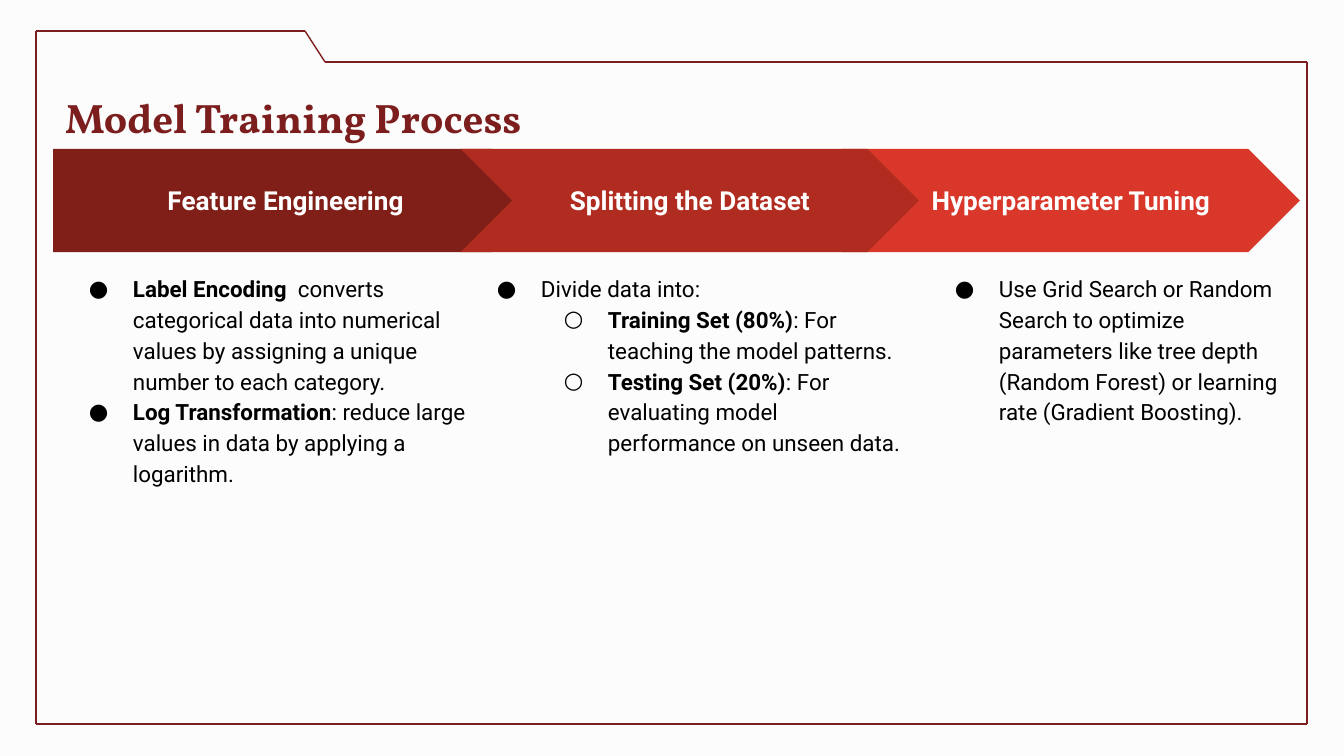
from dataclasses import dataclass
from lxml import etree
from pptx import Presentation
from pptx.dml.color import RGBColor
from pptx.enum import shapes, text
from pptx.oxml import ns
from pptx.util import Emu, Pt


@dataclass
class Theme:
    back: str = "FCFCFC"
    frame: str = "7C1E1E"
    dark: str = "801F17"
    mid: str = "B02B20"
    light: str = "D83729"
    white: str = "FFFFFF"
    black: str = "000000"
    serif: str = "Vollkorn"
    sans: str = "Roboto"
    title: int = 22
    head: int = 14
    body: int = 12


def px(n):
    return Emu(round(n * 914400 / 134.4))


def style(run, name, size, color, bold):
    font = run.font
    font.name, font.size, font.bold = name, Pt(size), bold
    font.color.rgb = RGBColor.from_string(color)


theme = Theme()
deck = Presentation()
deck.slide_width, deck.slide_height = px(1344), px(756)
slide = deck.slides.add_slide(deck.slide_layouts[5])
slide.background.fill.solid()
slide.background.fill.fore_color.rgb = RGBColor.from_string(theme.back)

points = [(36, 31), (305, 31), (325, 62), (1307, 62), (1307, 724), (36, 724)]
for start, end in zip(points, points[1:] + points[:1]):
    edge = slide.shapes.add_connector(
        shapes.MSO_CONNECTOR.STRAIGHT, *map(px, start + end))
    edge.line.color.rgb = RGBColor.from_string(theme.frame)
    edge.line.width = Pt(0.75)
    etree.SubElement(edge._element.spPr, ns.qn("a:effectLst"))

title = slide.shapes.title
title.left, title.top, title.width, title.height = map(px, (52, 79, 1133, 70))
frame = title.text_frame
frame.text = "Model Training Process"
frame.auto_size = text.MSO_AUTO_SIZE.NONE
frame.vertical_anchor = text.MSO_ANCHOR.TOP
frame.margin_left = frame.margin_right = px(13)
frame.margin_top = frame.margin_bottom = px(13)
frame.paragraphs[0].alignment = text.PP_ALIGN.LEFT
style(frame.paragraphs[0].runs[0], theme.serif, theme.title, theme.frame, True)

kind = shapes.MSO_SHAPE
steps = [
    ("Hyperparameter Tuning", kind.CHEVRON, theme.light, 842, 458, 919, 385, [
        (0, "", "Use Grid Search or Random Search to optimize parameters like "
                "tree depth (Random Forest) or learning rate (Gradient Boosting)."),
    ]),
    ("Feature Engineering", kind.PENTAGON, theme.dark, 53, 491, 53, 427, [
        (0, "Label Encoding", "  converts categorical data into numerical values "
                              "by assigning a unique number to each category."),
        (0, "Log Transformation", ": reduce large values in data by applying "
                                  "a logarithm."),
    ]),
    ("Splitting the Dataset", kind.CHEVRON, theme.mid, 461, 458, 461, 458, [
        (0, "", "Divide data into:"),
        (1, "Training Set (80%)", ": For teaching the model patterns."),
        (1, "Testing Set (20%)", ": For evaluating model performance on unseen data."),
    ]),
]

for name, form, color, left, width, start, span, items in steps:
    arrow = slide.shapes.add_shape(form, *map(px, (left, 149, width, 103)))
    arrow.adjustments[0] = 0.5
    arrow.shadow.inherit = False
    arrow.fill.solid()
    arrow.fill.fore_color.rgb = RGBColor.from_string(color)
    arrow.line.fill.background()
    box = slide.shapes.add_textbox(*map(px, (start, 258, span, 403)))
    for frame in (arrow.text_frame, box.text_frame):
        frame.word_wrap = True
        frame.margin_left = frame.margin_right = px(13)
        frame.margin_top = frame.margin_bottom = px(13)

    head = arrow.text_frame
    head.text = name
    head.vertical_anchor = text.MSO_ANCHOR.MIDDLE
    head.paragraphs[0].alignment = text.PP_ALIGN.CENTER
    style(head.paragraphs[0].runs[0], theme.sans, theme.head, theme.white, True)

    body = box.text_frame
    for i, (level, label, words) in enumerate(items):
        para = body.add_paragraph() if i else body.paragraphs[0]
        props = para._p.get_or_add_pPr()
        props.set("marL", str(px(67 * (level + 1))))
        props.set("indent", str(-px(44)))
        tint = etree.SubElement(props, ns.qn("a:buClr"))
        etree.SubElement(tint, ns.qn("a:srgbClr"), val=theme.black)
        etree.SubElement(props, ns.qn("a:buFont"), typeface=theme.sans)
        etree.SubElement(props, ns.qn("a:buChar"), char="●○"[level])
        para.level = level
        para.line_spacing = 1.15
        for part, bold in ((label, True), (words, False)):
            if part:
                run = para.add_run()
                run.text = part
                style(run, theme.sans, theme.body, theme.black, bold)

deck.save("out.pptx")
